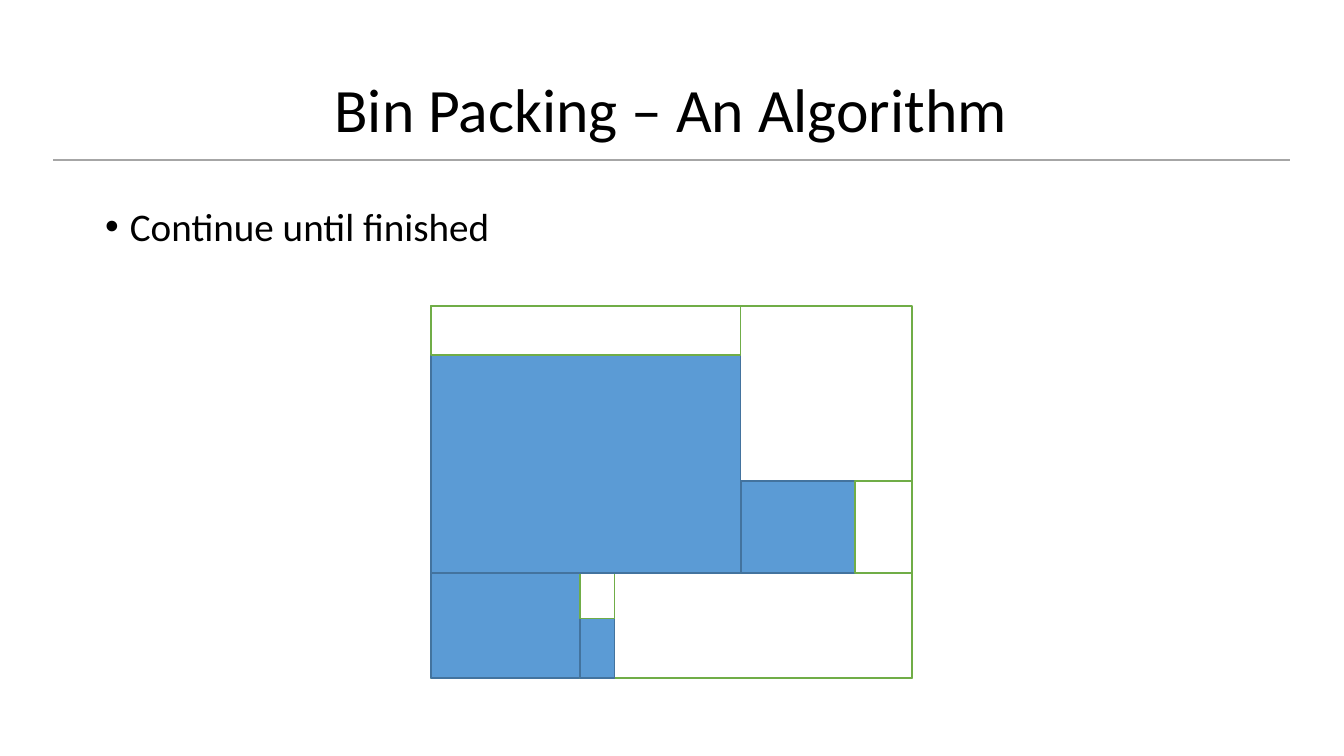
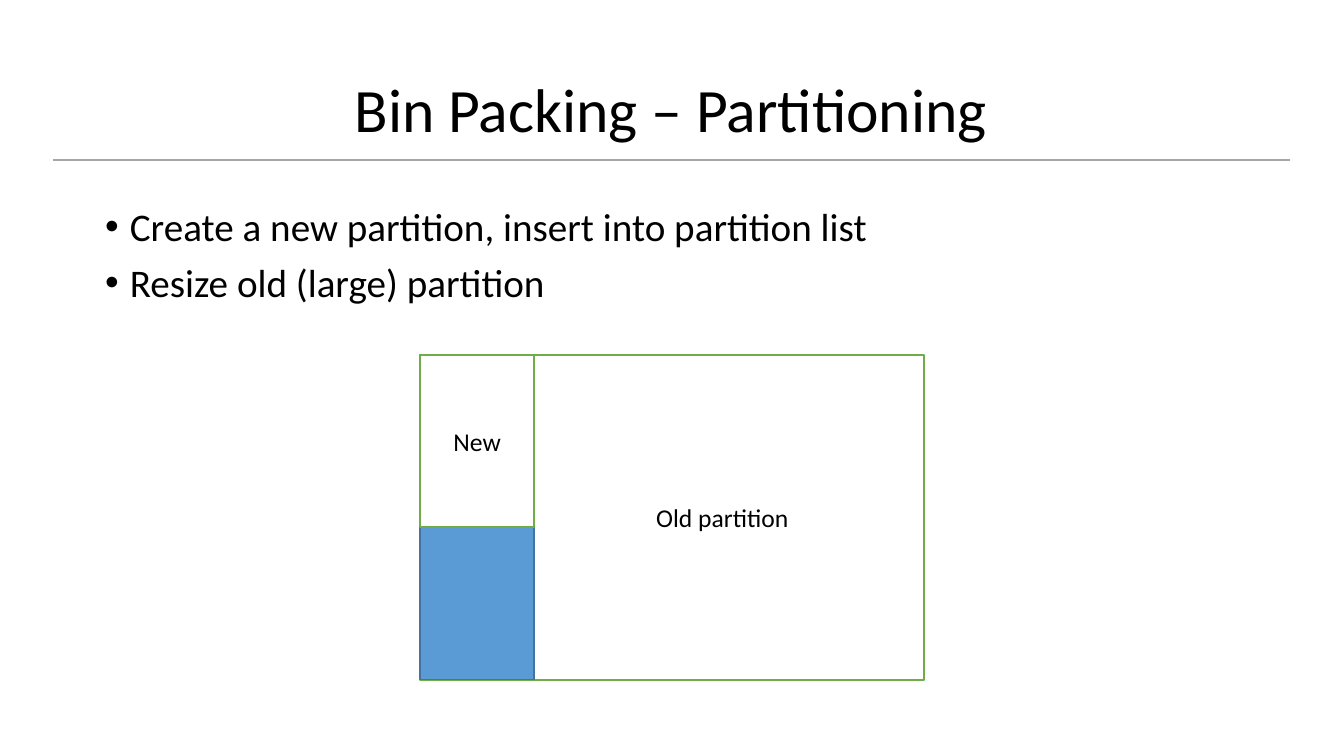
"""Build two slides on bin packing: the finished packing and the partitioning step."""
from lxml import etree
from pptx import Presentation
from pptx import util as u
from pptx.dml.color import RGBColor
from pptx.enum import shapes, text
from pptx.oxml import ns

COLOURS = {"ink": "000000", "rule": "A6A6A6", "space": "FFFFFF", "space_edge": "70AD47",
           "item": "5B9BD5", "item_edge": "43739E"}
TITLE = {"area": (48, 21, 607, 76), "size": 32.3,
         "frame": {"word_wrap": True, "vertical_anchor": text.MSO_ANCHOR.MIDDLE},
         "para": {"alignment": text.PP_ALIGN.CENTER, "line_spacing": 0.9}}
BODY = {"area": (48, 105, 607, 251), "size": 20.5,
        "frame": {"word_wrap": True, "vertical_anchor": text.MSO_ANCHOR.TOP},
        "para": {"alignment": text.PP_ALIGN.LEFT, "line_spacing": 0.9, "space_before": u.Pt(7.3)}}
LABEL = {"size": 13.4,
         "frame": {"word_wrap": True, "vertical_anchor": text.MSO_ANCHOR.MIDDLE},
         "para": {"alignment": text.PP_ALIGN.CENTER}}
BULLET_INDENT = 13

PACKED_BIN = [
    ("space", 226, 160.5, 478, 355),
    ("item", 226, 300, 304, 355),
    ("space", 304, 300, 478, 355),
    ("item", 304, 324, 322, 355),
    ("space", 304, 300, 322, 324),
    ("item", 226, 186, 388, 300),
    ("space", 226, 160.5, 388, 186),
    ("item", 388, 252, 448, 300),
    ("space", 448, 252, 478, 300),
]


def colour(name):
    """Return the named colour."""
    return RGBColor.from_string(COLOURS[name])


def apply(target, values):
    """Set each attribute in values on target."""
    for name, value in values.items():
        setattr(target, name, value)


def write(frame, lines, style):
    """Write lines as paragraphs of one style."""
    apply(frame, style["frame"])
    for number, line in enumerate(lines):
        para = frame.add_paragraph() if number else frame.paragraphs[0]
        apply(para, style["para"])
        span = para.add_run()
        span.text = line
        apply(span.font, {"name": "Calibri", "size": u.Pt(style["size"])})
        span.font.color.rgb = colour("ink")


def add_text(page, lines, style):
    """Add a text box and return its frame."""
    box = page.shapes.add_textbox(*map(u.Pt, style["area"]))
    write(box.text_frame, lines, style)
    return box.text_frame


def add_bullets(page, lines):
    """Add the bulleted body text."""
    for para in add_text(page, lines, BODY).paragraphs:
        props = para._p.get_or_add_pPr()
        props.set("marL", str(u.Pt(BULLET_INDENT)))
        props.set("indent", str(-u.Pt(BULLET_INDENT)))
        etree.SubElement(props, ns.qn("a:buFont"), typeface="Arial")
        etree.SubElement(props, ns.qn("a:buChar"), char="•")


def add_rule(page):
    """Draw the line under the title."""
    rule = page.shapes.add_connector(
        shapes.MSO_CONNECTOR.STRAIGHT, u.Pt(28), u.Pt(84), u.Pt(676), u.Pt(84))
    rule.line.color.rgb = colour("rule")
    rule.line.width = u.Pt(1)
    etree.SubElement(rule._element.spPr, ns.qn("a:effectLst"))


def add_block(page, kind, left, top, right, bottom, label=None, inset=7.2):
    """Draw an item or a free space between its edges, with an optional label."""
    box = page.shapes.add_shape(
        shapes.MSO_SHAPE.RECTANGLE, *map(u.Pt, (left, top, right - left, bottom - top)))
    box.shadow.inherit = False
    box.fill.solid()
    box.fill.fore_color.rgb = colour(kind)
    box.line.color.rgb = colour(kind + "_edge")
    box.line.width = u.Pt(1)
    if label:
        write(box.text_frame, [label], LABEL)
        box.text_frame.margin_left = u.Pt(inset)


def add_page(deck, title, bullets, blocks):
    """Add a slide with title, rule, bullets and a packing diagram."""
    page = deck.slides.add_slide(deck.slide_layouts[6])
    add_text(page, [title], TITLE)
    add_bullets(page, bullets)
    add_rule(page)
    for block in blocks:
        add_block(page, *block)


def main():
    """Build and save the deck."""
    deck = Presentation()
    apply(deck, {"slide_width": u.Pt(704.16), "slide_height": u.Pt(396)})
    add_page(deck, "Bin Packing – An Algorithm", ["Continue until finished"], PACKED_BIN)
    add_page(deck, "Bin Packing – Partitioning",
             ["Create a new partition, insert into partition list",
              "Resize old (large) partition"],
             [("space", 220, 186, 484, 356, "Old partition", 60),
              ("item", 220, 276, 280, 356),
              ("space", 220, 186, 280, 276, "New")])
    deck.save("out.pptx")


if __name__ == "__main__":
    main()
